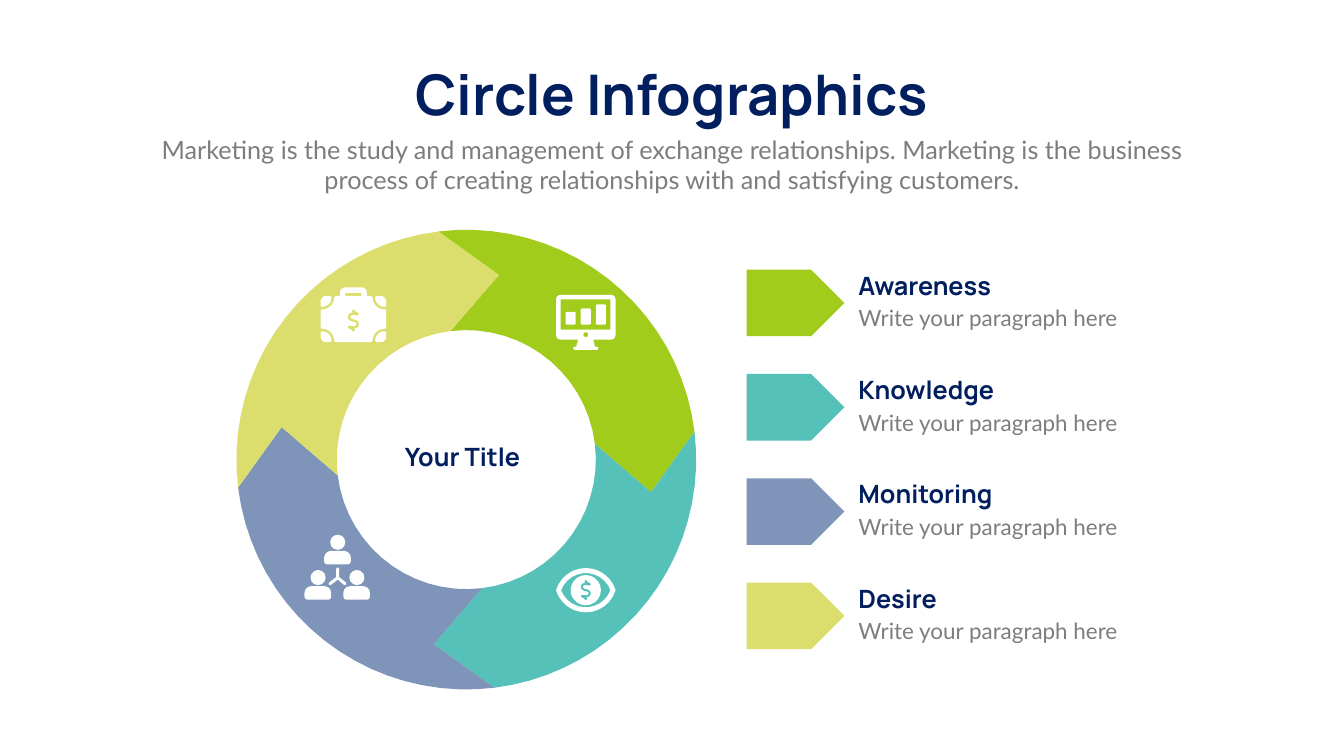
from dataclasses import dataclass
from math import asin, ceil, cos, degrees, radians, sin, sqrt

from pptx import Presentation
from pptx.dml.color import RGBColor
from pptx.enum.shapes import MSO_SHAPE
from pptx.enum.text import MSO_ANCHOR, MSO_AUTO_SIZE, PP_ALIGN
from pptx.util import Pt

EMU_PER_PX = 9144
Points = list[tuple[float, float]]


@dataclass(frozen=True)
class TextStyle:
    font: str
    size: int
    color: str
    bold: bool = False


@dataclass(frozen=True)
class Theme:
    icon: str = "FFFFFF"
    title: TextStyle = TextStyle("Manrope", 80, "011F5E", True)
    heading: TextStyle = TextStyle("Manrope", 36, "011F5E", True)
    intro: TextStyle = TextStyle("Lato", 36, "7E7C7F")
    body: TextStyle = TextStyle("Lato", 32, "7E7C7F")


@dataclass(frozen=True)
class Stage:
    heading: str
    color: str


@dataclass(frozen=True)
class Box:
    left: int
    top: int
    width: int
    height: int

    def emu(self) -> list[int]:
        return [v * EMU_PER_PX for v in (self.left, self.top, self.width, self.height)]


THEME = Theme()
STAGES = [
    Stage("Awareness", "A1CC1C"),
    Stage("Knowledge", "56C1B8"),
    Stage("Monitoring", "7E94B9"),
    Stage("Desire", "DBDE6C"),
]
STAGE_TOP, STAGE_PITCH = 535, 207
RING_X, RING_Y, OUTER, INNER, TIP = 925, 912, 456, 257, 372


def polar(cx: float, cy: float, radius: float, angle: float) -> tuple[float, float]:
    return cx + radius * cos(radians(angle)), cy + radius * sin(radians(angle))


def arc(cx: float, cy: float, radius: float, start: float, end: float) -> Points:
    steps = ceil(radians(abs(end - start)) * sqrt(radius / 3))
    return [polar(cx, cy, radius, start + (end - start) * i / steps) for i in range(steps + 1)]


def rectangle(left: int, top: int, width: int, height: int) -> Points:
    right, bottom = left + width, top + height
    return [(left, top), (right, top), (right, bottom), (left, bottom)]


def rounded(left: int, top: int, width: int, height: int, radius: int) -> Points:
    inner = rectangle(left + radius, top + radius, width - 2 * radius, height - 2 * radius)
    return [p for (x, y), a in zip(inner, (180, 270, 360, 450)) for p in arc(x, y, radius, a, a + 90)]


def placed(points: Points, x: int, y: int, fx: float = 1, fy: float = 1) -> Points:
    return [(x + fx * px, y + fy * py) for px, py in points]


def dollar(x: int, y: int, factor: float = 1) -> Points:
    half = (arc(2, 7, 9, -90, 90) + arc(0, 19, 3, 0, 180)
            + arc(-8, 13, 3, 90, 270) + arc(2, 7, 4, 90, -90))
    return placed(half, x, y, factor, factor) + placed(half, x, y, -factor, -factor)


def lens(x: int, y: int, half_width: int, half_height: int) -> Points:
    radius = (half_width ** 2 + half_height ** 2) / (2 * half_height)
    spread = degrees(asin(half_width / radius))
    offset = radius - half_height
    return (arc(x, y + offset, radius, -90 - spread, -90 + spread)
            + arc(x, y - offset, radius, 90 - spread, 90 + spread))


def paint(shape, color: str) -> None:
    shape.fill.solid()
    shape.fill.fore_color.rgb = RGBColor.from_string(color)
    shape.line.fill.background()
    shape.shadow.inherit = False


def add_outline(slide, color: str, *contours: Points) -> None:
    scaled = [[(round(x * EMU_PER_PX), round(y * EMU_PER_PX)) for x, y in c] for c in contours]
    builder = slide.shapes.build_freeform(*scaled[0][0], scale=1.0)
    builder.add_line_segments(scaled[0][1:], close=True)
    for contour in scaled[1:]:
        builder.move_to(*contour[0])
        builder.add_line_segments(contour[1:], close=True)
    paint(builder.convert_to_shape(), color)


def add_preset(slide, kind: MSO_SHAPE, box: Box, color: str, *adjustments: float) -> None:
    shape = slide.shapes.add_shape(kind, *box.emu())
    for i, value in enumerate(adjustments):
        shape.adjustments[i] = value
    paint(shape, color)


def write(shape, text: str, style: TextStyle, align: PP_ALIGN, wrap: bool = True) -> None:
    frame = shape.text_frame
    frame.text = text
    frame.word_wrap = wrap
    frame.auto_size = MSO_AUTO_SIZE.NONE
    frame.vertical_anchor = MSO_ANCHOR.TOP
    frame.paragraphs[0].alignment = align
    font = frame.paragraphs[0].runs[0].font
    font.name, font.size, font.bold = style.font, Pt(style.size), style.bold
    font.color.rgb = RGBColor.from_string(style.color)


def add_text(slide, box: Box, text: str, style: TextStyle,
             align: PP_ALIGN = PP_ALIGN.LEFT) -> None:
    write(slide.shapes.add_textbox(*box.emu()), text, style, align)


def add_ring_segment(slide, index: int, color: str) -> None:
    start = -97 + 90 * index
    end = start + 90
    tip, notch = (polar(RING_X, RING_Y, TIP, a + 17) for a in (end, start))
    add_outline(slide, color, arc(RING_X, RING_Y, OUTER, start, end) + [tip]
                + arc(RING_X, RING_Y, INNER, end, start) + [notch])


def add_monitor(slide) -> None:
    for i, height in enumerate((25, 32, 40)):
        bar = Box(1122 + 30 * i, 644 - height, 20, height)
        add_preset(slide, MSO_SHAPE.ROUNDED_RECTANGLE, bar, THEME.icon, 0.13)
    stand = ([(1147, 674), (1143, 688)] + arc(1140, 691, 3, -90, -270)
             + arc(1184, 691, 3, 90, -90) + [(1180, 688), (1177, 674)])
    add_outline(slide, THEME.icon, rounded(1103, 585, 118, 89, 9), stand,
                rectangle(1112, 594, 99, 60), arc(1162, 664, 5, 0, 360))


def add_team(slide) -> None:
    for x, top in ((670, 1061), (631, 1131), (708, 1131)):
        add_preset(slide, MSO_SHAPE.OVAL, Box(x - 15, top, 30, 30), THEME.icon)
        shoulders = Box(x - 27, top + 32, 53, 27)
        add_preset(slide, MSO_SHAPE.ROUND_2_SAME_RECTANGLE, shoulders, THEME.icon, 0.5, 0.24)
    add_outline(slide, THEME.icon, arc(670, 1129, 3, 180, 360) + [(673, 1145)]
                + arc(684, 1158, 3, -50, 130) + [(670, 1150)]
                + arc(655, 1158, 3, 50, 230) + [(667, 1145)])


def add_eye(slide) -> None:
    x, y = 1162, 1171
    add_outline(slide, THEME.icon, lens(x, y, 59, 44), lens(x, y, 49, 34))
    add_outline(slide, THEME.icon, arc(x, y, 30, 0, 360), dollar(x, y, 0.91))


def add_briefcase(slide) -> None:
    x, y = 701, 633
    corner = (arc(-62, -43, 19, 0, 90) + [(-65, -26)]
              + arc(-54, -35, 11, 180, 270) + [(-46, -46)])
    corners = [placed(corner, x, y, fx, fy) for fx in (1, -1) for fy in (1, -1)]
    add_outline(slide, THEME.icon, *corners)
    notch = [(-65, -19)] + arc(-62, -43, 24, 90, 0) + [(-35, -46)]
    handle = [(-27, -46)] + arc(-16, -52, 11, 180, 270) + arc(16, -52, 11, 270, 360) + [(27, -46)]
    body = (notch + handle + placed(notch, 0, 0, -1)[::-1]
            + placed(notch, 0, 0, -1, -1) + placed(notch, 0, 0, 1, -1)[::-1])
    add_outline(slide, THEME.icon, placed(body, x, y), dollar(x, y + 3),
                rectangle(x - 16, y - 52, 32, 6))


def main() -> None:
    deck = Presentation()
    deck.slide_width, deck.slide_height = 2666 * EMU_PER_PX, 1500 * EMU_PER_PX
    slide = deck.slides.add_slide(deck.slide_layouts[5])
    title = slide.shapes.title
    title.left, title.top, title.width, title.height = Box(774, 114, 1117, 145).emu()
    write(title, "Circle Infographics", THEME.title, PP_ALIGN.CENTER, wrap=False)
    add_text(slide, Box(292, 261, 2082, 131),
             "Marketing is the study and management of exchange relationships. "
             "Marketing is the business process of creating relationships with "
             "and satisfying customers.", THEME.intro, PP_ALIGN.CENTER)
    for i, stage in enumerate(STAGES):
        top = STAGE_TOP + STAGE_PITCH * i
        add_ring_segment(slide, i, stage.color)
        add_text(slide, Box(1693, top + 64, 573, 64), "Write your paragraph here", THEME.body)
        add_text(slide, Box(1693, top - 4, 323, 71), stage.heading, THEME.heading)
        add_preset(slide, MSO_SHAPE.PENTAGON, Box(1481, top, 194, 132), stage.color)
    for add_icon in (add_monitor, add_team, add_eye, add_briefcase):
        add_icon(slide)
    add_text(slide, Box(741, 871, 353, 67), "Your Title", THEME.heading, PP_ALIGN.CENTER)
    deck.save("out.pptx")


if __name__ == "__main__":
    main()
